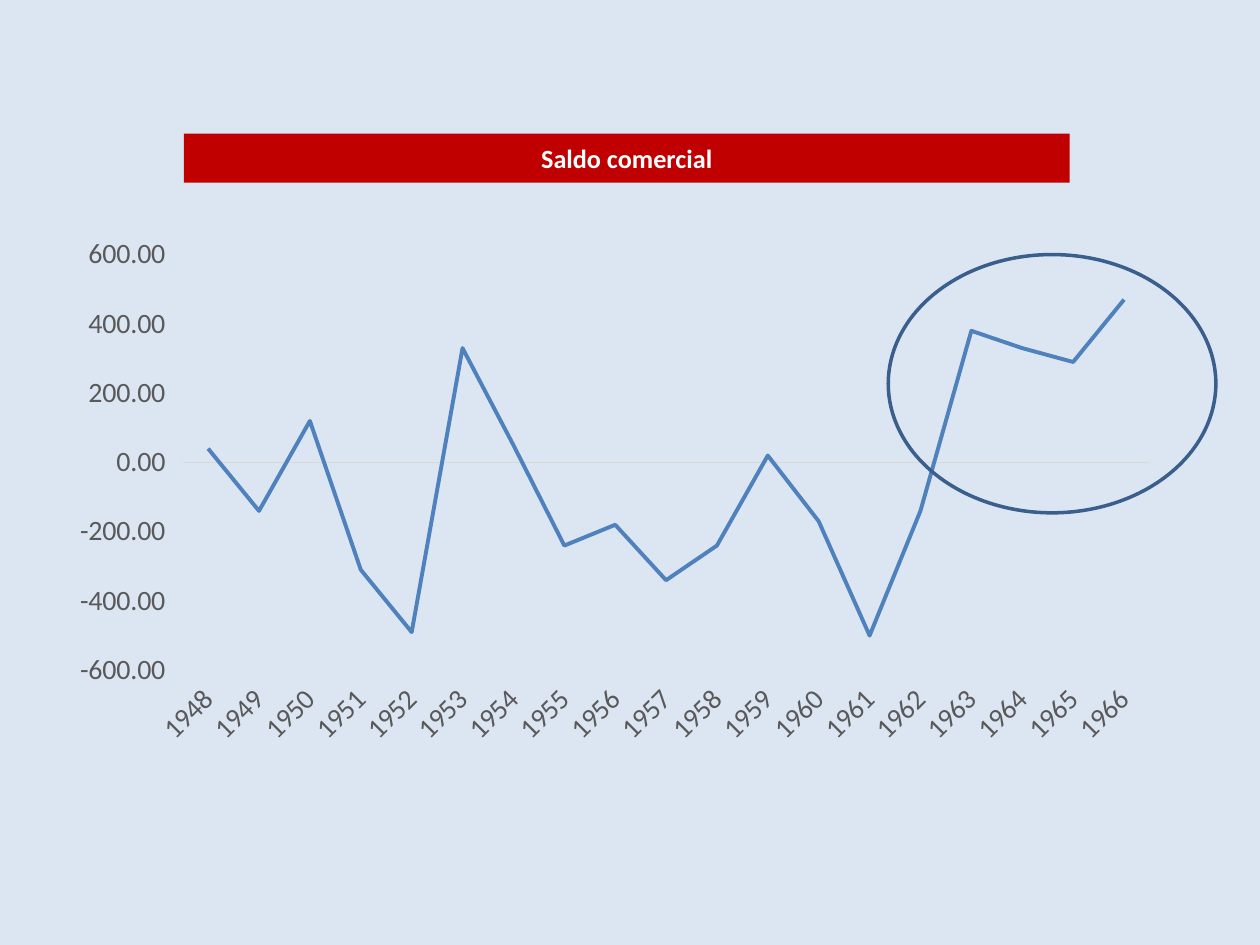
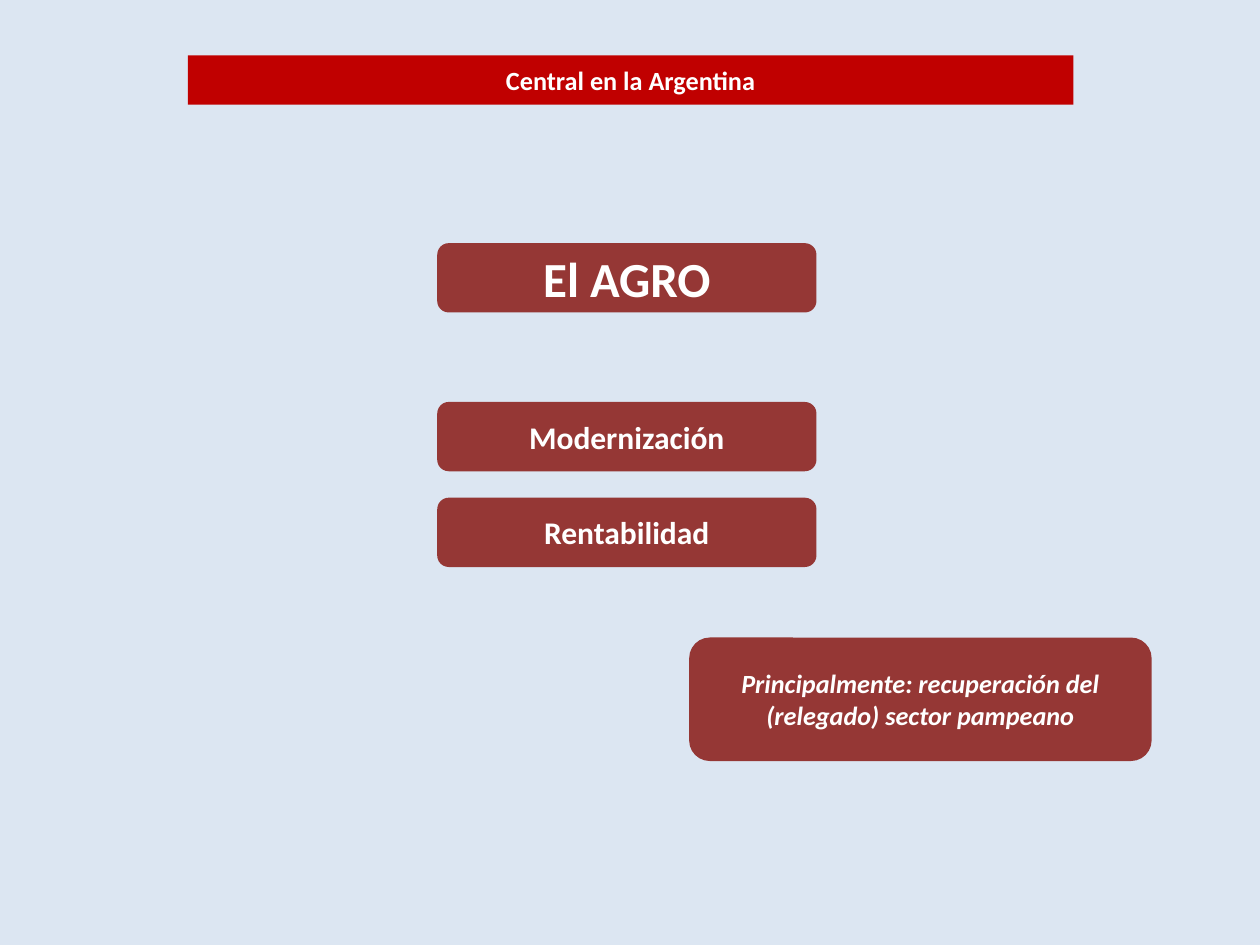
"""Build two slides on the trade balance and the farm sector in Argentina."""
import lxml.etree
import pptx
import pptx.chart.data
import pptx.dml.color
import pptx.enum.chart
import pptx.enum.shapes
import pptx.enum.text
import pptx.oxml
import pptx.oxml.ns
import pptx.util

FONT = "Calibri"
COLOURS = {
    "background": "DCE6F2",
    "title": "C00000",
    "box": "953735",
    "text": "FFFFFF",
    "label": "595959",
    "axis": "D9D9D9",
    "series": "4F81BD",
    "ring": "3A5F8C",
}
SLIDE_SIZE = (10, 7.5)
TITLE_SIZE = (7.03, 0.39)

BALANCE_TITLE = ("Saldo comercial", 1.46, 1.06)
FIRST_YEAR = 1948
BALANCE = [40, -140, 120, -310, -490, 330, 50, -240, -180, -340,
           -240, 20, -170, -500, -140, 380, 330, 290, 470]
CHART_AREA = (0.48, 1.81, 8.82, 4.23)
PLOT_SHARES = {"x": 0.11, "y": 0.05, "w": 0.87, "h": 0.78}
RING_AREA = (7.05, 2.02, 2.6, 2.05)

AGRO_TITLE = ("Central en la Argentina", 1.49, 0.44)
COLUMN_LEFT, COLUMN_WIDTH, ROW_HEIGHT = 3.47, 3.01, 0.55
AGRO_ROWS = [("El AGRO", 1.93, 28), ("Modernización", 3.19, 18), ("Rentabilidad", 3.95, 18)]
REMARK = "Principalmente: recuperación del (relegado) sector pampeano"
REMARK_AREA = (5.47, 5.06, 3.67, 0.98)


def colour(name):
    return pptx.dml.color.RGBColor.from_string(COLOURS[name])


def inches(lengths):
    return [pptx.util.Inches(length) for length in lengths]


def style_box(box, text, fill, size, italic=False):
    box.fill.solid()
    box.fill.fore_color.rgb = colour(fill)
    box.line.fill.background()
    frame = box.text_frame
    frame.text = text
    frame.word_wrap = True
    frame.auto_size = pptx.enum.text.MSO_AUTO_SIZE.NONE
    frame.vertical_anchor = pptx.enum.text.MSO_ANCHOR.MIDDLE
    para = frame.paragraphs[0]
    para.alignment = pptx.enum.text.PP_ALIGN.CENTER
    font = para.runs[0].font
    font.name, font.size = FONT, pptx.util.Pt(size)
    font.bold, font.italic = True, italic
    font.color.rgb = colour("text")


def add_titled_slide(deck, text, left, top):
    page = deck.slides.add_slide(deck.slide_layouts[5])
    title = page.shapes.title
    title.left, title.top, title.width, title.height = inches((left, top, *TITLE_SIZE))
    geometry = lxml.etree.SubElement(
        title.element.spPr, pptx.oxml.ns.qn("a:prstGeom"), prst="roundRect")
    lxml.etree.SubElement(geometry, pptx.oxml.ns.qn("a:avLst"))
    style_box(title, text, "title", 15)
    return page


def add_box(page, text, area, size, italic=False):
    box = page.shapes.add_shape(
        pptx.enum.shapes.MSO_SHAPE.ROUNDED_RECTANGLE, *inches(area))
    box.shadow.inherit = False
    style_box(box, text, "box", size, italic)


def place_plot(chart):
    plot_area = chart.element.find(".//" + pptx.oxml.ns.qn("c:plotArea"))
    for old in plot_area.findall(pptx.oxml.ns.qn("c:layout")):
        plot_area.remove(old)
    layout = pptx.oxml.parse_xml(f"<c:layout {pptx.oxml.ns.nsdecls('c')}/>")
    manual = lxml.etree.SubElement(layout, pptx.oxml.ns.qn("c:manualLayout"))
    settings = {"layoutTarget": "inner", "xMode": "edge", "yMode": "edge", **PLOT_SHARES}
    for name, value in settings.items():
        lxml.etree.SubElement(manual, pptx.oxml.ns.qn(f"c:{name}"), val=str(value))
    plot_area.insert(0, layout)


def add_balance_chart(page):
    data = pptx.chart.data.CategoryChartData()
    data.categories = [str(FIRST_YEAR + index) for index in range(len(BALANCE))]
    data.add_series("Saldo comercial", BALANCE)
    chart = page.shapes.add_chart(
        pptx.enum.chart.XL_CHART_TYPE.LINE, *inches(CHART_AREA), data).chart
    chart.has_legend = chart.has_title = False
    chart.font.name, chart.font.size = FONT, pptx.util.Pt(16)
    place_plot(chart)

    years, values = chart.category_axis, chart.value_axis
    for axis in (years, values):
        axis.has_major_gridlines = False
        axis.major_tick_mark = axis.minor_tick_mark = pptx.enum.chart.XL_TICK_MARK.NONE
        font = axis.tick_labels.font
        font.name, font.size = FONT, pptx.util.Pt(16)
        font.color.rgb = colour("label")
    years.tick_label_position = pptx.enum.chart.XL_TICK_LABEL_POSITION.LOW
    years.format.line.color.rgb = colour("axis")
    years.format.line.width = pptx.util.Pt(0.75)
    years._element.find(".//" + pptx.oxml.ns.qn("a:bodyPr")).set("rot", "-2700000")
    values.minimum_scale, values.maximum_scale, values.major_unit = -600, 600, 200
    values.format.line.fill.background()
    values.tick_labels.number_format = r"#,##0.00\ \ "
    values.tick_labels.number_format_is_linked = False

    plot = chart.plots[0]
    plot.vary_by_categories = False
    series = plot.series[0]
    series.smooth = False
    series.marker.style = pptx.enum.chart.XL_MARKER_STYLE.NONE
    series.format.line.color.rgb = colour("series")
    series.format.line.width = pptx.util.Pt(2.25)


def add_ring(page):
    ring = page.shapes.add_shape(pptx.enum.shapes.MSO_SHAPE.OVAL, *inches(RING_AREA))
    ring.shadow.inherit = False
    ring.fill.background()
    ring.line.color.rgb = colour("ring")
    ring.line.width = pptx.util.Pt(2)


def main():
    deck = pptx.Presentation()
    deck.slide_width, deck.slide_height = inches(SLIDE_SIZE)
    background = deck.slide_master.background.fill
    background.solid()
    background.fore_color.rgb = colour("background")

    balance_page = add_titled_slide(deck, *BALANCE_TITLE)
    add_balance_chart(balance_page)
    add_ring(balance_page)

    agro_page = add_titled_slide(deck, *AGRO_TITLE)
    for text, top, size in AGRO_ROWS:
        add_box(agro_page, text, (COLUMN_LEFT, top, COLUMN_WIDTH, ROW_HEIGHT), size)
    add_box(agro_page, REMARK, REMARK_AREA, 15, italic=True)

    deck.save("out.pptx")


if __name__ == "__main__":
    main()
